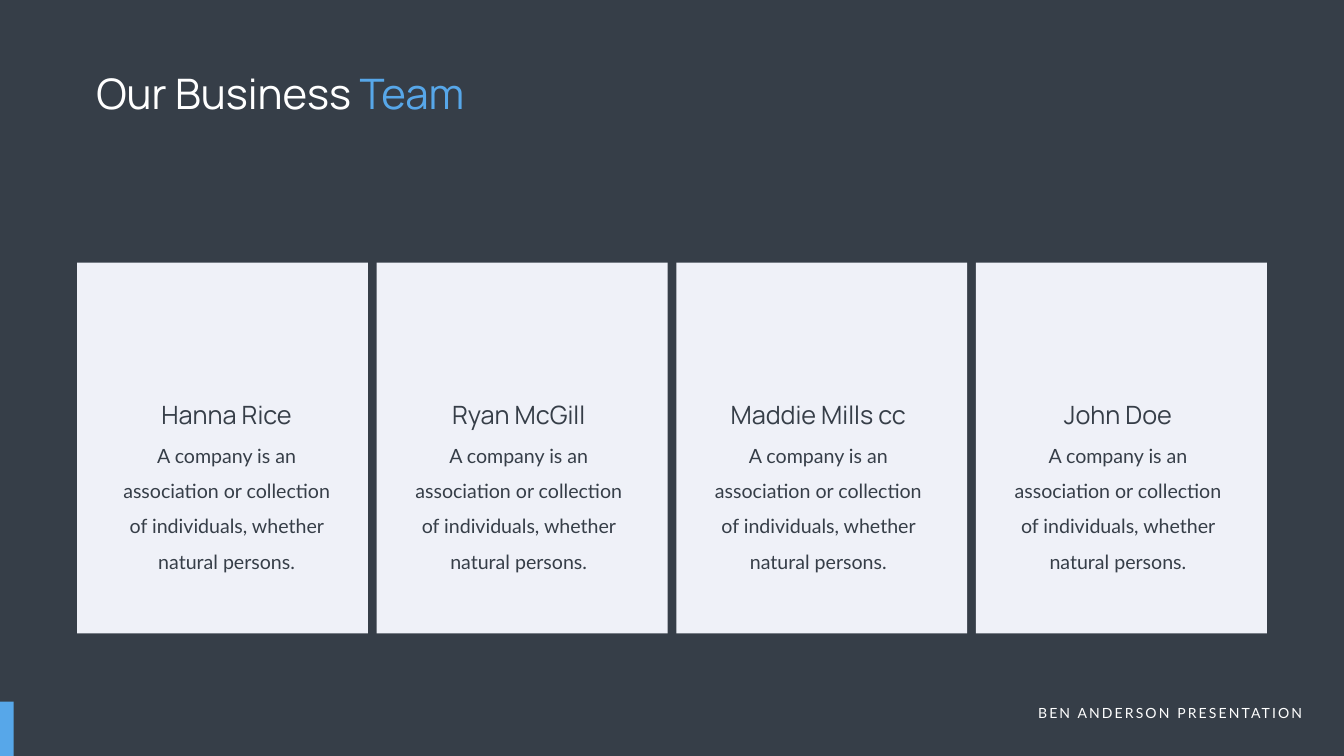
from dataclasses import dataclass

from pptx import Presentation
from pptx.dml.color import RGBColor
from pptx.enum.shapes import MSO_SHAPE
from pptx.enum.text import MSO_ANCHOR, MSO_AUTO_SIZE, PP_ALIGN
from pptx.util import Inches, Pt


@dataclass(frozen=True)
class Theme:
    dark: RGBColor = RGBColor.from_string("363E48")
    white: RGBColor = RGBColor.from_string("FFFFFF")
    accent: RGBColor = RGBColor.from_string("57A7E9")
    card: RGBColor = RGBColor.from_string("EFF1F8")
    heading_font: str = "Manrope"
    body_font: str = "Lato"
    title_size: int = 60
    name_size: int = 36
    body_size: int = 28
    footer_size: int = 20


@dataclass(frozen=True)
class Member:
    name: str
    name_width: float
    text_shift: float = -0.07  # from the centre of the card


SLIDE_WIDTH, SLIDE_HEIGHT = 26.66, 15
CARD_LEFT, CARD_TOP = 1.53, 5.21
CARD_WIDTH, CARD_HEIGHT = 5.77, 7.36
CARD_GAP = (SLIDE_WIDTH - 2 * CARD_LEFT - 4 * CARD_WIDTH) / 3
BODY_WIDTH = 4.31
FOOTER_TOP = 13.92
BIOGRAPHY = "A company is an association or collection of individuals, whether natural persons."
MEMBERS = [
    Member("Hanna Rice", 3.07, 0.08),
    Member("Ryan McGill", 3.1),
    Member("Maddie Mills cc", 4.06),
    Member("John Doe", 2.57),
]


class SlideBuilder:
    def __init__(self, slide, theme):
        self.slide = slide
        self.theme = theme

    def background(self, color):
        fill = self.slide.background.fill
        fill.solid()
        fill.fore_color.rgb = color

    def fill_text(self, shape, runs, font, size, align, wrap=True, line_spacing=1.0, tracking=0):
        """Fill a shape with one paragraph of (text, color) runs; tracking is in points."""
        frame = shape.text_frame
        frame_format = {
            "word_wrap": wrap,
            "auto_size": MSO_AUTO_SIZE.SHAPE_TO_FIT_TEXT,
            "vertical_anchor": MSO_ANCHOR.TOP,
        }
        for attribute, value in frame_format.items():
            setattr(frame, attribute, value)
        paragraph = frame.paragraphs[0]
        paragraph.alignment = align
        paragraph.line_spacing = line_spacing
        for text, color in runs:
            run = paragraph.add_run()
            run.text = text
            for attribute, value in {"name": font, "size": Pt(size), "bold": False}.items():
                setattr(run.font, attribute, value)
            run.font.color.rgb = color
            if tracking:
                run.font._element.set("spc", str(tracking * 100))

    def title(self, runs, left, top, width, height):
        title = self.slide.shapes.title
        bounds = {"left": left, "top": top, "width": width, "height": height}
        for attribute, value in bounds.items():
            setattr(title, attribute, Inches(value))
        self.fill_text(title, runs, self.theme.heading_font, self.theme.title_size, PP_ALIGN.LEFT)

    def text(self, text, bounds, color, font, size, align=PP_ALIGN.CENTER, **options):
        box = self.slide.shapes.add_textbox(*map(Inches, bounds))
        self.fill_text(box, [(text, color)], font, size, align, **options)

    def rectangle(self, bounds, color):
        shape = self.slide.shapes.add_shape(MSO_SHAPE.RECTANGLE, *map(Inches, bounds))
        shape.shadow.inherit = False
        shape.fill.solid()
        shape.fill.fore_color.rgb = color
        shape.line.fill.background()

    def member_card(self, member, left):
        theme = self.theme
        self.rectangle((left, CARD_TOP, CARD_WIDTH, CARD_HEIGHT), theme.card)
        center = left + CARD_WIDTH / 2 + member.text_shift
        self.text(BIOGRAPHY, (center - BODY_WIDTH / 2, 8.52, BODY_WIDTH, 2.84),
                  theme.dark, theme.body_font, theme.body_size, line_spacing=1.5)
        self.text(member.name, (center - member.name_width / 2, 7.88, member.name_width, 0.71),
                  theme.dark, theme.heading_font, theme.name_size, wrap=False)


def main():
    presentation = Presentation()
    presentation.slide_width = Inches(SLIDE_WIDTH)
    presentation.slide_height = Inches(SLIDE_HEIGHT)
    title_only = presentation.slide_layouts.get_by_name("Title Only")
    theme = Theme()
    builder = SlideBuilder(presentation.slides.add_slide(title_only), theme)

    builder.background(theme.dark)
    builder.title([("Our Business", theme.white), (" Team", theme.accent)], 1.81, 1.28, 8.98, 1.11)
    builder.text("BEN ANDERSON PRESENTATION", (20.08, FOOTER_TOP, 5.85, 0.44), theme.white,
                 theme.body_font, theme.footer_size, PP_ALIGN.RIGHT, tracking=3)
    builder.rectangle((0, FOOTER_TOP, 0.27, SLIDE_HEIGHT - FOOTER_TOP), theme.accent)
    for index, member in enumerate(MEMBERS):
        builder.member_card(member, CARD_LEFT + index * (CARD_WIDTH + CARD_GAP))

    presentation.save("out.pptx")


if __name__ == "__main__":
    main()
